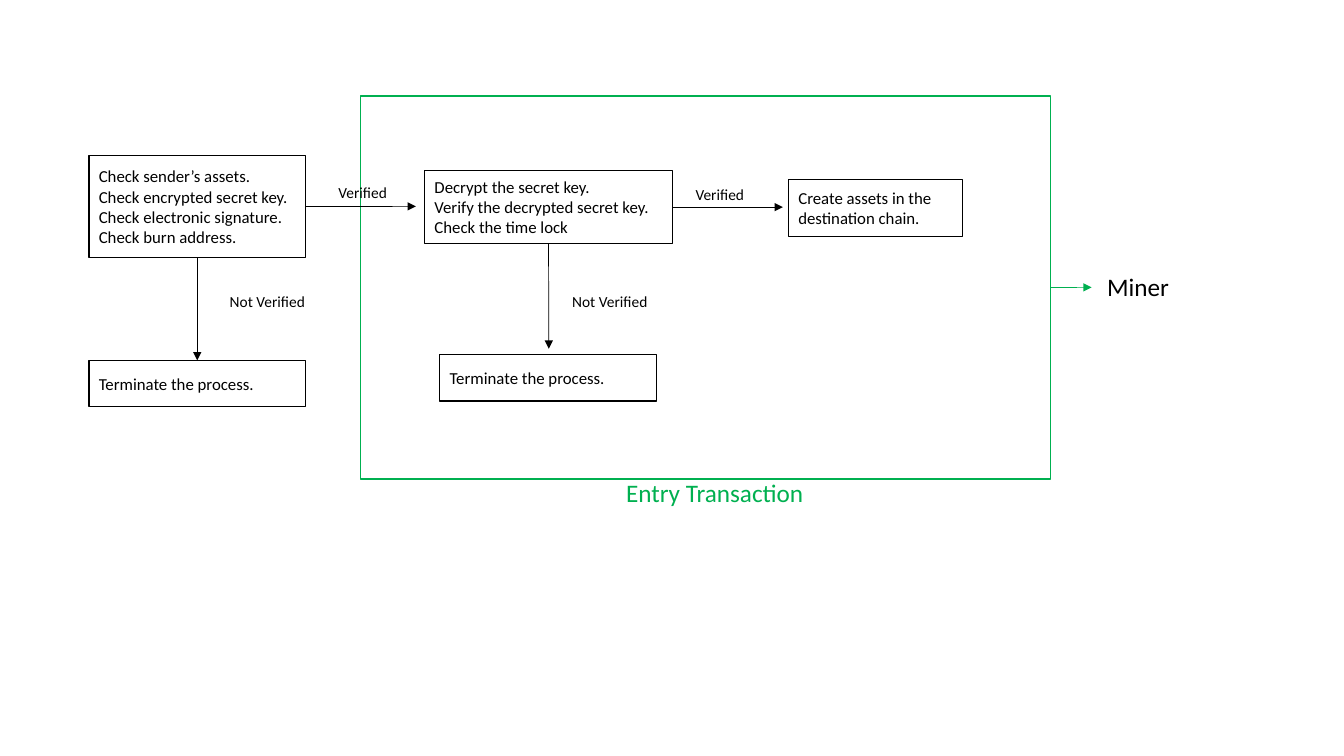
from dataclasses import dataclass

from lxml import etree
from pptx import Presentation
from pptx.dml.color import RGBColor
from pptx.enum.shapes import MSO_CONNECTOR, MSO_SHAPE
from pptx.enum.text import MSO_ANCHOR, MSO_AUTO_SIZE, PP_ALIGN
from pptx.oxml.ns import qn
from pptx.util import Cm, Pt

RECT = MSO_SHAPE.RECTANGLE
STRAIGHT = MSO_CONNECTOR.STRAIGHT
MIDDLE = MSO_ANCHOR.MIDDLE
GROW = MSO_AUTO_SIZE.SHAPE_TO_FIT_TEXT
LEFT = PP_ALIGN.LEFT
TOP, BOTTOM, RIGHT = 0, 2, 3  # sides of a box


@dataclass(frozen=True)
class Theme:
    font: str = "Calibri"
    black: RGBColor = RGBColor(0, 0, 0)
    white: RGBColor = RGBColor(255, 255, 255)
    green: RGBColor = RGBColor(0, 0xB0, 0x50)
    step_size: float = 12
    label_size: float = 11
    large_size: float = 18
    border: float = 1
    arrow: float = 0.5


THEME = Theme()


@dataclass(frozen=True)
class Box:
    left: float
    top: float
    width: float
    height: float
    text: str = ""
    color: RGBColor = THEME.black


@dataclass(frozen=True)
class Label:
    left: float
    top: float
    width: float
    height: float
    text: str
    size: float = THEME.label_size
    color: RGBColor = THEME.black
    wrap: bool = False


@dataclass(frozen=True)
class Arrow:
    """Runs from a side of one box to a point, or to the top of another box."""
    start: str
    side: int
    x: float
    y: float
    goal: str = ""
    color: RGBColor = THEME.black


STOP = "Terminate the process."
STOP_SIZE = (5.46, 1.17)

BOXES = {
    "entry": Box(9.09, 2.42, 17.38, 9.65, color=THEME.green),
    "check": Box(2.24, 3.92, 5.46, 2.57,
                 "Check sender’s assets.\nCheck encrypted secret key.\n"
                 "Check electronic signature.\nCheck burn address."),
    "decrypt": Box(10.7, 4.3, 6.25, 1.84,
                   "Decrypt the secret key.\nVerify the decrypted secret key.\n"
                   "Check the time lock"),
    "create": Box(19.87, 4.52, 4.39, 1.44,
                  "Create assets in the destination chain."),
    "check stop": Box(2.24, 9.08, *STOP_SIZE, STOP),
    "decrypt stop": Box(11.08, 8.94, *STOP_SIZE, STOP),
}

ARROWS = [
    Arrow("check", RIGHT, 10.48, 5.2),
    Arrow("check", BOTTOM, 4.97, 9.08, "check stop"),
    Arrow("decrypt", RIGHT, 19.73, 5.22),
    Arrow("decrypt", BOTTOM, 13.83, 8.79),
    Arrow("entry", RIGHT, 27.51, 7.24, color=THEME.green),
]

PASS_SIZE = (1.78, 0.74)
FAIL_SIZE = (2.44, 0.74)

LABELS = [
    Label(8.28, 4.5, *PASS_SIZE, "Verified"),
    Label(17.28, 4.55, *PASS_SIZE, "Verified"),
    Label(5.54, 7.24, *FAIL_SIZE, "Not Verified"),
    Label(14.17, 7.24, *FAIL_SIZE, "Not Verified"),
    Label(27.65, 6.71, 2.13, 1.02, "Miner", THEME.large_size, wrap=True),
    Label(15.53, 11.91, 5.59, 1.02, "Entry Transaction",
          THEME.large_size, THEME.green, True),
]


def place(item: Box | Label) -> list[Cm]:
    return [Cm(n) for n in (item.left, item.top, item.width, item.height)]


def write(frame, text: str, size: float, color: RGBColor) -> None:
    frame.text = text
    for line in frame.paragraphs:
        line.alignment = LEFT
        for run in line.runs:
            run.font.name = THEME.font
            run.font.size = Pt(size)
            run.font.color.rgb = color


def draw_box(slide, box: Box):
    shape = slide.shapes.add_shape(RECT, *place(box))
    shape.shadow.inherit = False
    shape.fill.solid()
    shape.fill.fore_color.rgb = THEME.white
    shape.line.color.rgb = box.color
    shape.line.width = Pt(THEME.border)
    if box.text:
        shape.text_frame.word_wrap = True
        shape.text_frame.vertical_anchor = MIDDLE
        write(shape.text_frame, box.text, THEME.step_size, THEME.black)
    return shape


def draw_arrow(slide, arrow: Arrow, shapes: dict) -> None:
    end = Cm(arrow.x), Cm(arrow.y)
    link = slide.shapes.add_connector(STRAIGHT, *end, *end)
    link.begin_connect(shapes[arrow.start], arrow.side)
    if arrow.goal:
        link.end_connect(shapes[arrow.goal], TOP)
    link.line.color.rgb = arrow.color
    link.line.width = Pt(THEME.arrow)
    etree.SubElement(link.line._get_or_add_ln(), qn("a:tailEnd"), type="triangle")
    etree.SubElement(link._element.spPr, qn("a:effectLst"))


def draw_label(slide, label: Label) -> None:
    frame = slide.shapes.add_textbox(*place(label)).text_frame
    frame.word_wrap = label.wrap
    frame.auto_size = GROW
    write(frame, label.text, label.size, label.color)


def main() -> None:
    deck = Presentation()
    deck.slide_width, deck.slide_height = Cm(33.87), Cm(19.05)
    slide = deck.slides.add_slide(deck.slide_layouts[6])
    shapes = {name: draw_box(slide, box) for name, box in BOXES.items()}
    for arrow in ARROWS:
        draw_arrow(slide, arrow, shapes)
    for label in LABELS:
        draw_label(slide, label)
    deck.save("out.pptx")


if __name__ == "__main__":
    main()
